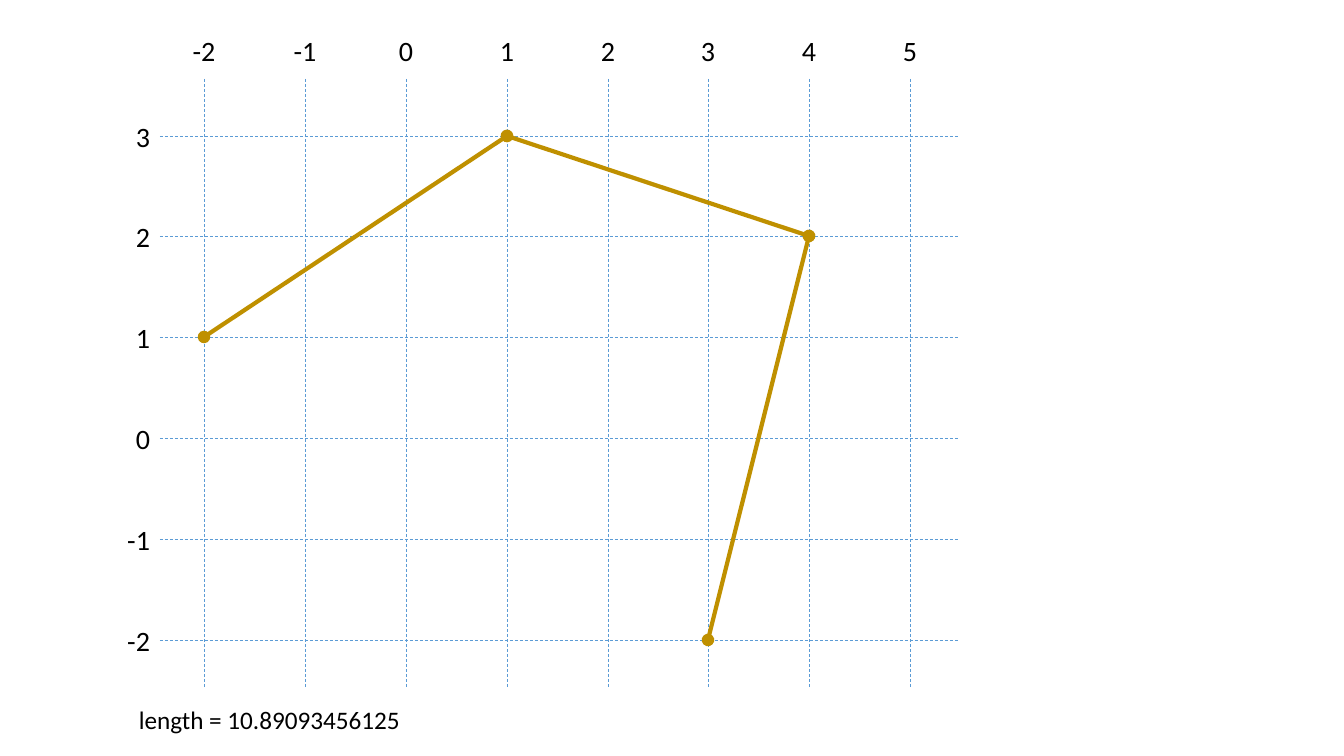
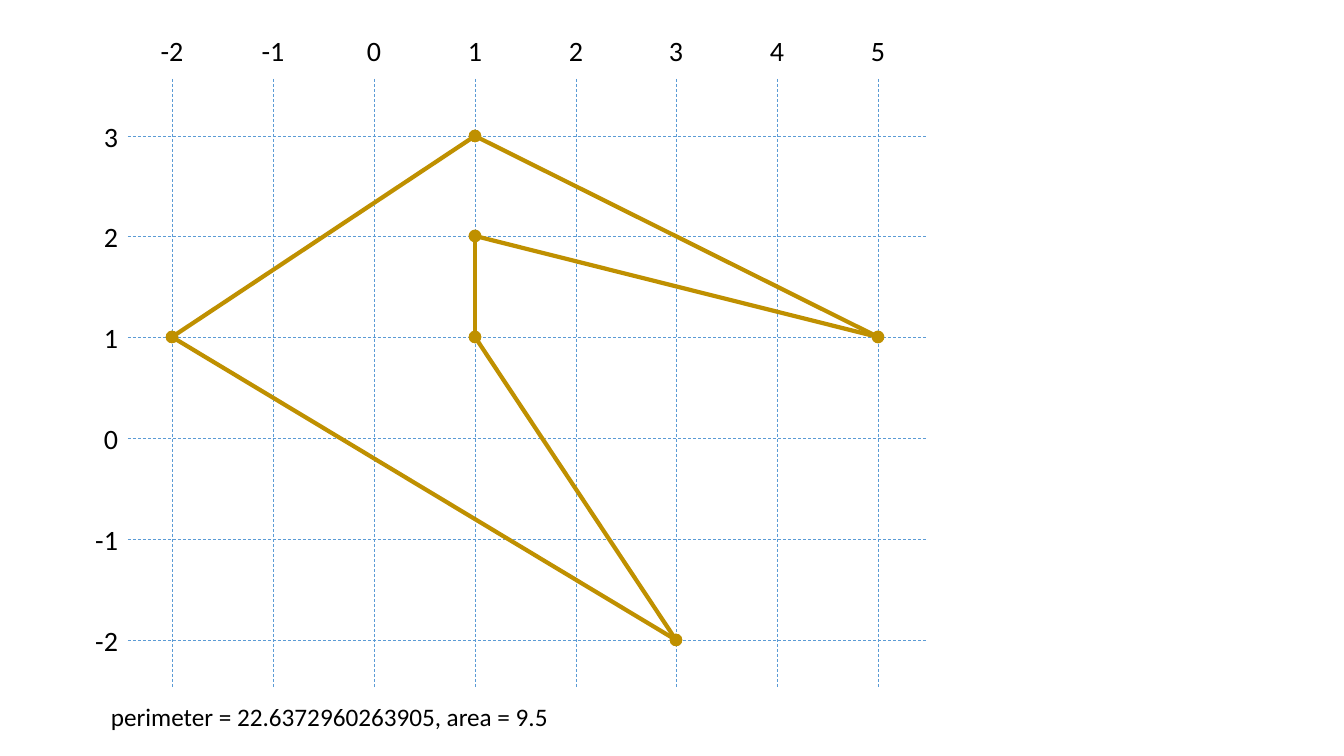
import pptx
import pptx.util
import pptx.dml.color
import pptx.enum.dml
import pptx.enum.shapes
import pptx.enum.text
import pptx.oxml
import pptx.oxml.ns

EMU_PER_PIXEL = 914400 / 100.8
COLORS = {"grid": "5B9BD5", "path": "BF9000", "text": "000000"}
ALIGN = pptx.enum.text.PP_ALIGN

# Coordinate grid, in pixels
UNIT = 100.8
ORIGIN_Y = 438
COLUMNS = range(-2, 6)
ROWS = range(-2, 4)
GRID_TOP, GRID_BOTTOM = 79, 687
GRID_LEFT, GRID_RIGHT = -246, 552  # measured from the x origin
LABEL_TOP, LABEL_HEIGHT = 29, 44

FIGURES = [
    {
        "origin_x": 406,
        "segments": [((-2, 1), (1, 3)), ((4, 2), (1, 3)), ((4, 2), (3, -2))],
        "caption": ("length = 10.89093456125", 129, 699, 284),
    },
    {
        "origin_x": 374,
        "segments": [((-2, 1), (1, 3)), ((5, 1), (1, 3)), ((1, 1), (3, -2)),
                     ((-2, 1), (3, -2)), ((1, 2), (5, 1)), ((1, 2), (1, 1))],
        "caption": ("perimeter = 22.6372960263905, area = 9.5", 101, 696, 463),
    },
]


def add_text(page, text, left, top, width, height, size, align):
    box = page.shapes.add_textbox(
        *(round(length * EMU_PER_PIXEL) for length in (left, top, width, height)))
    box.text_frame.word_wrap = False
    para = box.text_frame.paragraphs[0]
    para.text = text
    para.alignment = align
    para.font.name = "Calibri"
    para.font.size = pptx.util.Pt(size)
    para.font.color.rgb = pptx.dml.color.RGBColor.from_string(COLORS["text"])


def add_line(page, start, end, color, width):
    line = page.shapes.add_connector(
        pptx.enum.shapes.MSO_CONNECTOR.STRAIGHT,
        *(round(length * EMU_PER_PIXEL) for length in (*start, *end)))
    line.line.color.rgb = pptx.dml.color.RGBColor.from_string(COLORS[color])
    line.line.width = pptx.util.Pt(width)
    properties = line._element.spPr
    properties.append(pptx.oxml.parse_xml(
        "<a:effectLst %s/>" % pptx.oxml.ns.nsdecls("a")))
    return line


deck = pptx.Presentation()
deck.slide_width = round(1344 * EMU_PER_PIXEL)
deck.slide_height = round(756 * EMU_PER_PIXEL)

for figure in FIGURES:
    page = deck.slides.add_slide(deck.slide_layouts[6])
    origin_x = figure["origin_x"]
    column_x = {value: round(origin_x + value * UNIT) for value in COLUMNS}
    row_y = {value: round(ORIGIN_Y - value * UNIT) for value in ROWS}
    left, right = origin_x + GRID_LEFT, origin_x + GRID_RIGHT

    # Dashed grid lines
    grid = [((left, y), (right, y)) for y in row_y.values()]
    grid += [((x, GRID_TOP), (x, GRID_BOTTOM)) for x in column_x.values()]
    for start, end in grid:
        line = add_line(page, start, end, "grid", 0.5)
        line.line.dash_style = pptx.enum.dml.MSO_LINE.DASH

    # Axis labels
    for value, x in column_x.items():
        width = 43 if value < 0 else 34
        add_text(page, str(value), x - width / 2, LABEL_TOP, width,
                 LABEL_HEIGHT, 20, ALIGN.CENTER)
    for value, y in row_y.items():
        width = 43 if value < 0 else 34
        add_text(page, str(value), left - width, y - LABEL_HEIGHT / 2 + 1, width,
                 LABEL_HEIGHT, 20, ALIGN.RIGHT)

    # Segments with round dots at both ends
    for start, end in figure["segments"]:
        points = [(column_x[x], row_y[y]) for x, y in (start, end)]
        segment = add_line(page, *points, "path", 3)
        outline = segment.line._get_or_add_ln()
        for tag in ("headEnd", "tailEnd"):
            outline.append(pptx.oxml.parse_xml(
                '<a:%s %s type="oval"/>' % (tag, pptx.oxml.ns.nsdecls("a"))))

    # Measured result
    text, caption_left, caption_top, caption_width = figure["caption"]
    add_text(page, text, caption_left, caption_top, caption_width, 40, 18, ALIGN.LEFT)

deck.save("out.pptx")
